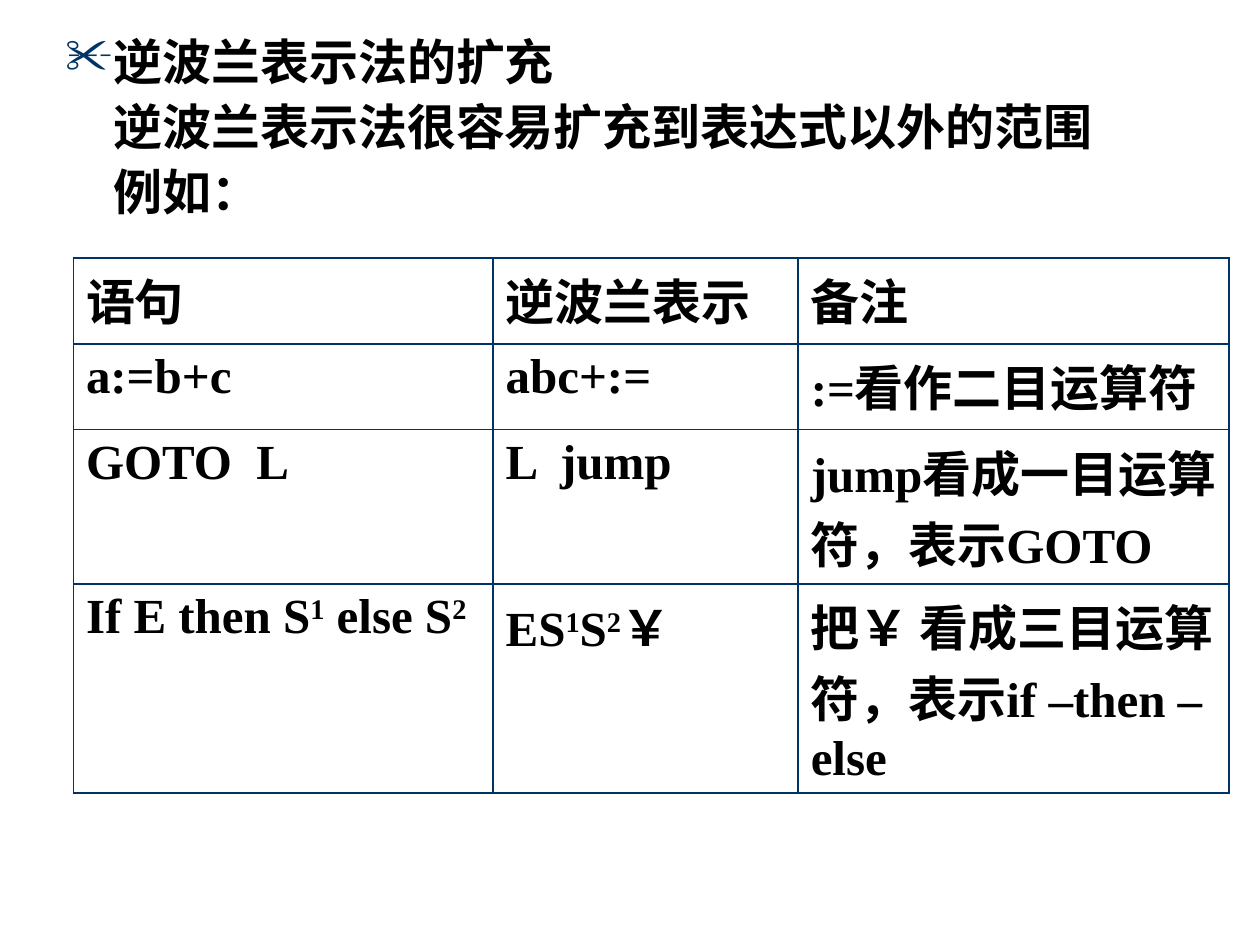
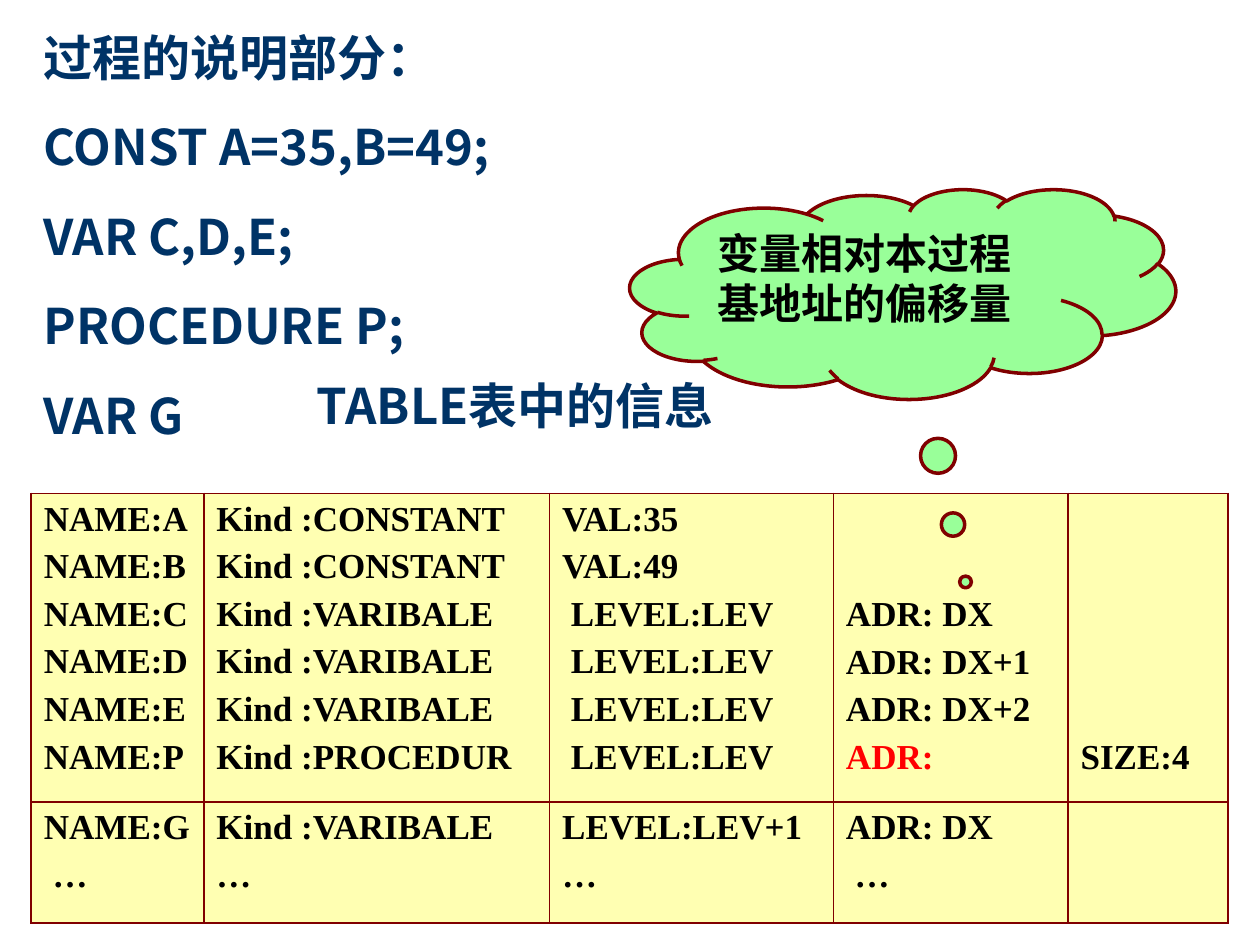
from dataclasses import dataclass

from lxml.etree import SubElement
from pptx import Presentation
from pptx.dml.color import RGBColor
from pptx.enum.shapes import MSO_SHAPE
from pptx.enum.text import MSO_ANCHOR, PP_ALIGN
from pptx.oxml.ns import qn
from pptx.util import Cm, Pt


@dataclass(frozen=True)
class Theme:
    navy: str = "003366"
    maroon: str = "800000"
    black: str = "000000"
    red: str = "FF0000"
    yellow: str = "FFFF66"
    green: str = "99FF99"
    serif: str = "Times New Roman"
    sans: str = "Noto Sans CJK SC"
    cloud_font: str = "Lato"
    large: float = 28
    medium: float = 24
    small: float = 20
    border: float = 1.08


@dataclass(frozen=True)
class TextStyle:
    font: str
    size: float
    color: str
    before: float = 0
    line: float = 0


THEME = Theme()
BODY = TextStyle(THEME.serif, THEME.large, THEME.black, 7, 30)
STATEMENT = TextStyle(THEME.serif, THEME.large, THEME.black, 7)
DECLARATION = TextStyle(THEME.sans, THEME.large, THEME.navy, 17.5, 33.6)
ENTRY = TextStyle(THEME.serif, THEME.small, THEME.black, 5)
LATE_ENTRY = TextStyle(THEME.serif, THEME.small, THEME.red, 5)
CLOUD = TextStyle(THEME.cloud_font, THEME.medium, THEME.black, 0, 28.6)
ENTRY_PITCH = 0.96
CELL_TOP = 0.13


def rgb(color):
    return RGBColor.from_string(color)


def add_span(para, text, style, raised=False):
    span = para.add_run()
    span.text = text
    span.font.name = style.font
    span.font.size = Pt(style.size)
    span.font.bold = True
    span.font.color.rgb = rgb(style.color)
    properties = span.font._element
    SubElement(properties, qn("a:ea")).set("typeface", THEME.sans)
    if raised:
        properties.set("baseline", "30000")


def write_para(para, text, style, first):
    if style.line:
        para.line_spacing = Pt(style.line)
    if not first:
        para.space_before = Pt(style.before)
    base, *raised_parts = text.split("^")
    add_span(para, base, style)
    for part in raised_parts:
        add_span(para, part[0], style, raised=True)
        if part[1:]:
            add_span(para, part[1:], style)


def write_lines(frame, lines, style):
    frame.word_wrap = True
    for index, line in enumerate(lines):
        para = frame.add_paragraph() if index else frame.paragraphs[0]
        write_para(para, line, style, index == 0)


def add_text(page, left, top, width, height, lines, style, anchor=MSO_ANCHOR.TOP):
    box = page.shapes.add_textbox(Cm(left), Cm(top), Cm(width), Cm(height))
    box.text_frame.vertical_anchor = anchor
    write_lines(box.text_frame, lines, style)
    return box


def indent_para(para, margin, bullet=None):
    properties = para._p.get_or_add_pPr()
    properties.set("marL", str(Cm(margin)))
    if bullet:
        properties.set("indent", str(-Cm(margin)))
        color = SubElement(properties, qn("a:buClr"))
        SubElement(color, qn("a:srgbClr")).set("val", THEME.navy)
        SubElement(properties, qn("a:buChar")).set("char", bullet)


def set_borders(cell, color):
    properties = cell._tc.get_or_add_tcPr()
    for position, side in enumerate(("lnL", "lnR", "lnT", "lnB")):
        line = properties.makeelement(qn(f"a:{side}"), {"w": str(Pt(THEME.border))})
        fill = SubElement(line, qn("a:solidFill"))
        SubElement(fill, qn("a:srgbClr")).set("val", color)
        properties.insert(position, line)


def set_fill(cell, color):
    if color is None:
        cell.fill.background()
        return
    cell.fill.solid()
    cell.fill.fore_color.rgb = rgb(color)
    value = cell._tc.tcPr.find(f"{qn('a:solidFill')}/{qn('a:srgbClr')}")
    SubElement(value, qn("a:alpha")).set("val", "50000")


def add_grid(page, left, top, widths, heights, rows, style, line, fill=None):
    frame = page.shapes.add_table(len(heights), len(widths), Cm(left), Cm(top),
                                  Cm(sum(widths)), Cm(sum(heights)))
    table = frame.table
    table.first_row = table.horz_banding = False
    for column, width in zip(table.columns, widths):
        column.width = Cm(width)
    for row, height, texts in zip(table.rows, heights, rows):
        row.height = Cm(height)
        for cell, text in zip(row.cells, texts):
            set_fill(cell, fill)
            set_borders(cell, line)
            if text:
                write_lines(cell.text_frame, text.split("\n"), style)
    return table


def add_cloud(page, left, top, width, height, text):
    cloud = page.shapes.add_shape(MSO_SHAPE.CLOUD_CALLOUT, Cm(left), Cm(top),
                                  Cm(width), Cm(height))
    cloud.adjustments[0] = 0.115
    cloud.adjustments[1] = 1.373
    cloud.shadow.inherit = False
    cloud.fill.solid()
    cloud.fill.fore_color.rgb = rgb(THEME.green)
    cloud.line.color.rgb = rgb(THEME.maroon)
    cloud.line.width = Pt(2)
    frame = cloud.text_frame
    frame.vertical_anchor = MSO_ANCHOR.TOP
    frame.margin_top = Cm(0.15)
    write_lines(frame, [text], CLOUD)
    frame.paragraphs[0].alignment = PP_ALIGN.LEFT


def build_extension_page(page):
    box = add_text(page, 1.07, 0.64, 22.1, 4.01, [
        "逆波兰表示法的扩充",
        "逆波兰表示法很容易扩充到表达式以外的范围",
        "例如：",
    ], BODY)
    for index, para in enumerate(box.text_frame.paragraphs):
        indent_para(para, 0.97, None if index else "✂")

    table = add_grid(page, 1.48, 5.2, (8.46, 6.15, 8.69), (1.73, 1.73, 3.11, 4.22), [
        ("语句", "逆波兰表示", "备注"),
        ("a:=b+c", "abc+:=", ":=看作二目运算符"),
        ("GOTO  L", "L  jump", "jump看成一目运算符，表示GOTO"),
        ("If E then S^1 else S^2", "ES^1S^2￥", "把￥ 看成三目运算符，表示if –then –else"),
    ], STATEMENT, THEME.navy)
    for row, column in ((1, 0), (1, 2), (2, 2)):
        table.cell(row, column).text_frame.paragraphs[0].alignment = PP_ALIGN.JUSTIFY


def build_symbol_page(page):
    add_text(page, 0.63, 0.43, 12.5, 8.66, [
        "过程的说明部分：",
        "CONST A=35,B=49;",
        "VAR C,D,E;",
        "PROCEDURE P;",
        "VAR G",
    ], DECLARATION)
    add_text(page, 6.14, 7.61, 14.6, 1.27, ["TABLE表中的信息"], DECLARATION,
             MSO_ANCHOR.BOTTOM)

    names = "\n".join(f"NAME:{name}" for name in "ABCDEP")
    kinds = ["CONSTANT"] * 2 + ["VARIBALE"] * 3 + ["PROCEDUR"]
    values = ["VAL:35", "VAL:49"] + [" LEVEL:LEV"] * 4
    table = add_grid(page, 0.63, 9.95, (3.48, 6.97, 5.72, 4.73, 3.23), (6.22, 2.44), [
        (names, "\n".join(f"Kind :{kind}" for kind in kinds), "\n".join(values),
         "ADR: DX\nADR: DX+1\nADR: DX+2", "SIZE:4"),
        ("NAME:G\n …", "Kind :VARIBALE\n…", "LEVEL:LEV+1\n…", "ADR: DX\n …", ""),
    ], ENTRY, THEME.maroon, THEME.yellow)
    for column, skipped_entries in ((3, 2), (4, 5)):
        table.cell(0, column).margin_top = Cm(CELL_TOP + skipped_entries * ENTRY_PITCH)
    write_para(table.cell(0, 3).text_frame.add_paragraph(), "ADR:", LATE_ENTRY, False)

    add_cloud(page, 12.7, 3.81, 11, 4.23, "变量相对本过程基地址的偏移量")


def main():
    deck = Presentation()
    deck.slide_width, deck.slide_height = Cm(25.4), Cm(19.05)
    for build in (build_extension_page, build_symbol_page):
        build(deck.slides.add_slide(deck.slide_layouts[6]))
    deck.save("out.pptx")


if __name__ == "__main__":
    main()
